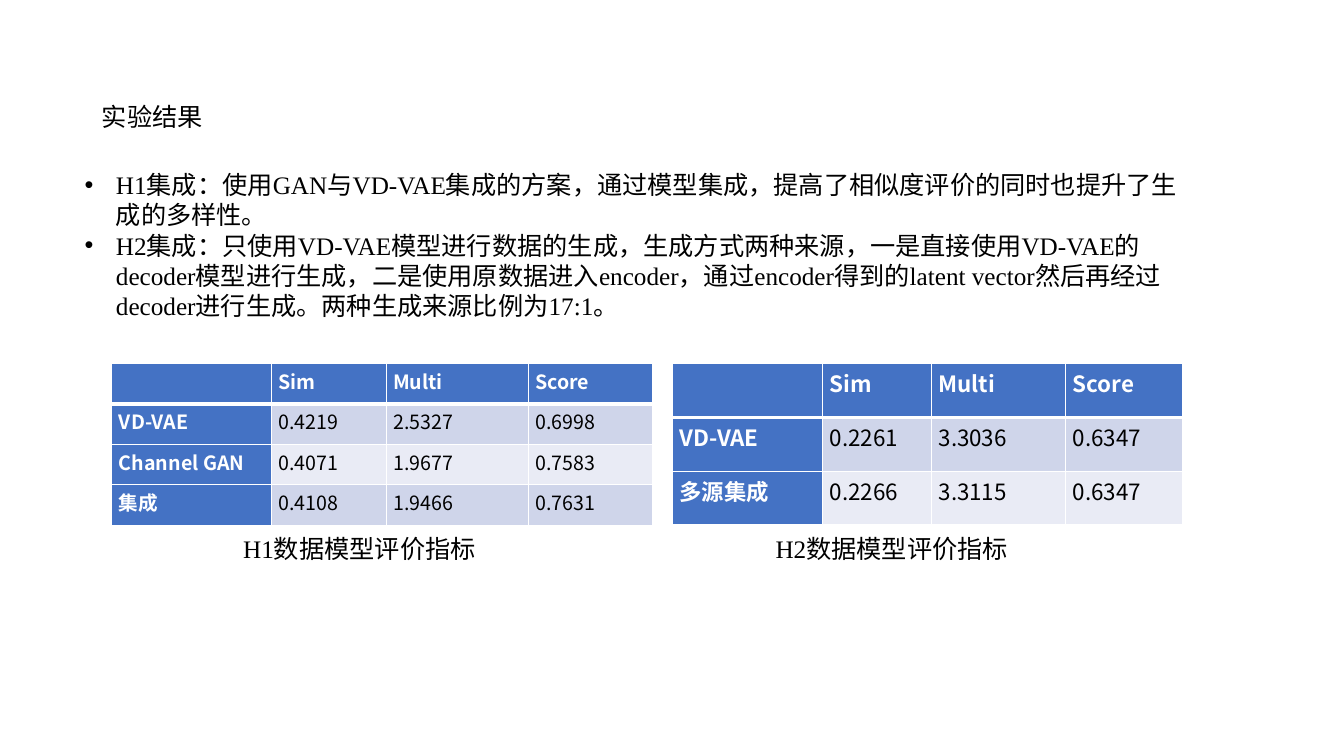
from lxml.etree import SubElement
from pptx import Presentation
from pptx.dml.color import RGBColor
from pptx.enum.text import MSO_ANCHOR, MSO_AUTO_SIZE, PP_ALIGN
from pptx.oxml.ns import qn
from pptx.util import Inches, Pt

BLUE = RGBColor(0x44, 0x72, 0xC4)
BAND_DARK = RGBColor(0xCF, 0xD5, 0xEA)
BAND_LIGHT = RGBColor(0xE9, 0xEB, 0xF5)
WHITE = RGBColor(0xFF, 0xFF, 0xFF)
BLACK = RGBColor(0, 0, 0)
SERIF, SANS = "Times New Roman", "Noto Sans CJK SC"

TITLE = "实验结果"
BULLETS = [
    "H1集成：使用GAN与VD-VAE集成的方案，通过模型集成，提高了相似度评价的同时也提升了生成的多样性。",
    "H2集成：只使用VD-VAE模型进行数据的生成，生成方式两种来源，一是直接使用VD-VAE的decoder模型进行生成，"
    "二是使用原数据进入encoder，通过encoder得到的latent vector然后再经过decoder进行生成。两种生成来源比例为17:1。",
]
HEADER = ("", "Sim", "Multi", "Score")
TABLE_TOP, TABLE_HEIGHT = 3.61, 1.6
RESULTS = [
    {
        "left": 1.11, "columns": (1.58, 1.14, 1.41, 1.23), "size": 14,
        "rows": [HEADER,
                 ("VD-VAE", "0.4219", "2.5327", "0.6998"),
                 ("Channel GAN", "0.4071", "1.9677", "0.7583"),
                 ("集成", "0.4108", "1.9466", "0.7631")],
        "caption": "H1数据模型评价指标", "caption_left": 0.11,
    },
    {
        "left": 6.67, "columns": (1.49, 1.08, 1.33, 1.16), "size": 16,
        "rows": [HEADER,
                 ("VD-VAE", "0.2261", "3.3036", "0.6347"),
                 ("多源集成", "0.2266", "3.3115", "0.6347")],
        "caption": "H2数据模型评价指标", "caption_left": 5.39,
    },
]


def style(paragraph, font_name, size, color, bold=False):
    """Set the font of a whole paragraph."""
    font = paragraph.font
    font.name, font.size, font.bold = font_name, Pt(size), bold
    font.color.rgb = color


def place(shape, left, top, width, height):
    """Move a placeholder and align its text to the top."""
    shape.left, shape.top = Inches(left), Inches(top)
    shape.width, shape.height = Inches(width), Inches(height)
    frame = shape.text_frame
    frame.word_wrap = True
    frame.auto_size = MSO_AUTO_SIZE.NONE
    frame.vertical_anchor = MSO_ANCHOR.TOP
    return frame


def add_borders(cell, bottom_width):
    """Draw white lines round a cell."""
    properties = cell._tc.get_or_add_tcPr()
    widths = {"a:lnL": 1, "a:lnR": 1, "a:lnT": 1, "a:lnB": bottom_width}
    for tag, width in widths.items():
        line = SubElement(properties, qn(tag), w=str(Pt(width)))
        fill = SubElement(line, qn("a:solidFill"))
        SubElement(fill, qn("a:srgbClr"), val=str(WHITE))


def add_result_table(slide, result):
    """Add one table of scores."""
    rows, columns = result["rows"], result["columns"]
    table = slide.shapes.add_table(
        len(rows), len(columns), Inches(result["left"]), Inches(TABLE_TOP),
        Inches(sum(columns)), Inches(TABLE_HEIGHT)).table
    table.first_col = True
    for column, width in zip(table.columns, columns):
        column.width = Inches(width)
    for row_index, values in enumerate(rows):
        for column_index, value in enumerate(values):
            cell = table.cell(row_index, column_index)
            is_heading = row_index == 0 or column_index == 0
            cell.margin_left = cell.margin_right = Inches(0.07)
            cell.margin_top = cell.margin_bottom = 0
            cell.text = value
            paragraph = cell.text_frame.paragraphs[0]
            paragraph.alignment = PP_ALIGN.JUSTIFY
            paragraph.line_spacing = 1.1
            paragraph.space_after = Pt(6)
            style(paragraph, SANS, result["size"], WHITE if is_heading else BLACK, is_heading)
            add_borders(cell, 3 if row_index == 0 else 1)
            cell.fill.solid()
            band = BAND_DARK if row_index % 2 else BAND_LIGHT
            cell.fill.fore_color.rgb = BLUE if is_heading else band


def add_caption(slide, result):
    """Add the caption under a table."""
    box = slide.shapes.add_textbox(
        Inches(result["caption_left"]), Inches(TABLE_TOP + TABLE_HEIGHT), Inches(6.7), Inches(0.41))
    box.text_frame.word_wrap = True
    paragraph = box.text_frame.paragraphs[0]
    paragraph.text = result["caption"]
    paragraph.alignment = PP_ALIGN.CENTER
    paragraph.line_spacing = 1.1
    paragraph.space_after = Pt(6)
    paragraph._p.get_or_add_pPr().set("indent", str(Inches(0.21)))
    style(paragraph, SERIF, 18, BLACK)


def main():
    """Build the slide of experiment results."""
    presentation = Presentation()
    presentation.slide_width, presentation.slide_height = Inches(13.33), Inches(7.5)
    slide = presentation.slides.add_slide(presentation.slide_layouts[1])

    title = place(slide.shapes.title, 0.91, 0.96, 4.48, 0.4)
    title.text = TITLE
    title.paragraphs[0].alignment = PP_ALIGN.LEFT
    style(title.paragraphs[0], SERIF, 18, BLACK)

    body = place(slide.placeholders[1], 0.74, 1.63, 11.17, 1.62)
    body.text = "\n".join(BULLETS)
    for paragraph in body.paragraphs:
        properties = paragraph._p.get_or_add_pPr()
        properties.set("marL", str(Inches(0.31)))
        properties.set("indent", str(-Inches(0.31)))
        paragraph.space_before = Pt(0)
        SubElement(properties, qn("a:buFont"), typeface="Arial")
        SubElement(properties, qn("a:buChar"), char="•")
        style(paragraph, SERIF, 18, BLACK)

    for result in RESULTS:
        add_result_table(slide, result)
        add_caption(slide, result)
    presentation.save("out.pptx")


if __name__ == "__main__":
    main()
